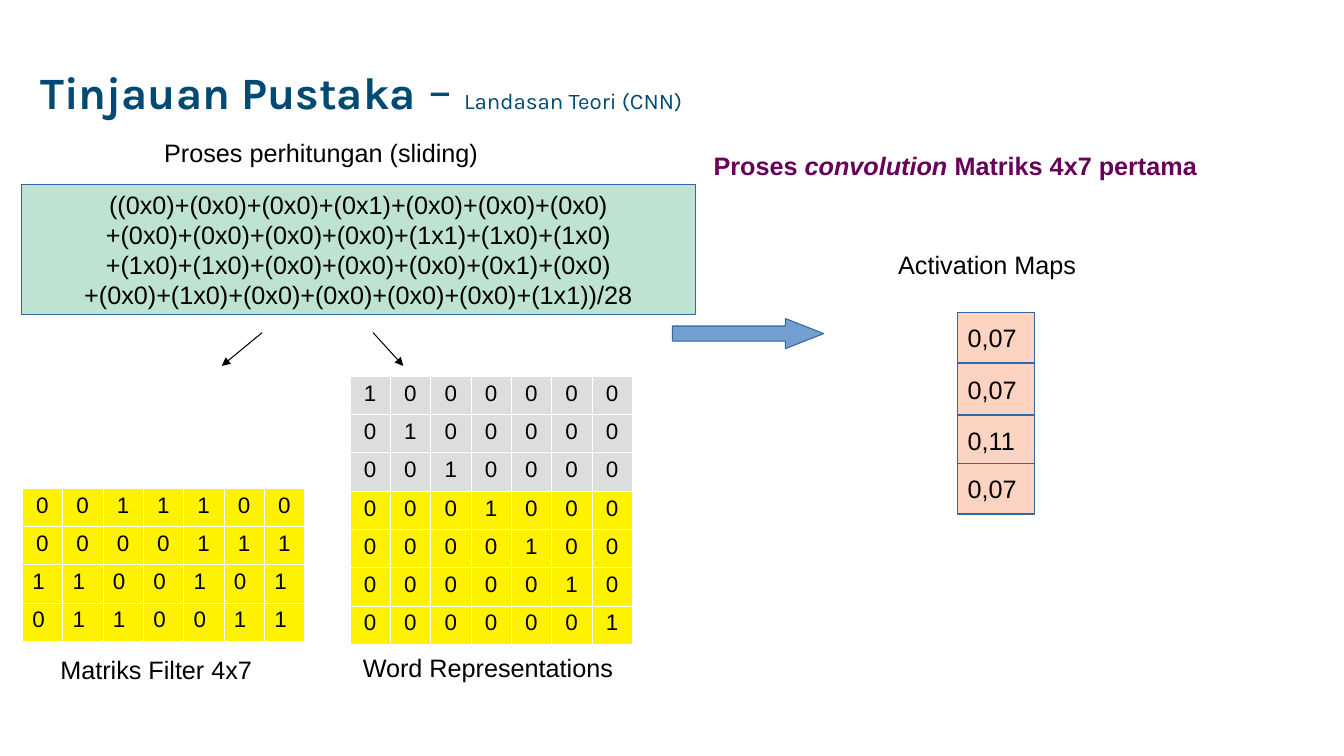
import pptx
import pptx.util
import pptx.dml.color
import pptx.enum.shapes
import pptx.enum.text
import pptx.oxml
import pptx.oxml.ns
from lxml import etree

Inches = pptx.util.Inches
Pt = pptx.util.Pt
ALIGN = pptx.enum.text.PP_ALIGN
SHAPE = pptx.enum.shapes.MSO_SHAPE

COLORS = {
    "title": "014A73", "heading": "680059", "text": "000000",
    "outline": "3465A4", "formula": "BEE3D3", "activation": "FCD3C1",
    "arrow": "729FCF", "window": "FFF200", "outside": "DDDDDD",
    "border": "FFFFFF",
}
FORMULA = [
    "((0x0)+(0x0)+(0x0)+(0x1)+(0x0)+(0x0)+(0x0)",
    "+(0x0)+(0x0)+(0x0)+(0x0)+(1x1)+(1x0)+(1x0)",
    "+(1x0)+(1x0)+(0x0)+(0x0)+(0x0)+(0x1)+(0x0)",
    "+(0x0)+(1x0)+(0x0)+(0x0)+(0x0)+(0x0)+(1x1))/28",
]
FILTER_ROWS = ["0011100", "0000111", "1100101", "0110011"]
WORD_ROWS = ["".join("1" if column == row else "0" for column in range(7))
             for row in range(7)]


def rgb(name):
    """Return the named palette colour."""
    return pptx.dml.color.RGBColor.from_string(COLORS[name])


def style(font, size, color="text", family="Arial", bold=None):
    """Set the face, size, colour and weight of a font."""
    font.name, font.size, font.bold = family, Pt(size), bold
    font.color.rgb = rgb(color)


def add_title(page, left, top, width, height):
    """Fill the title placeholder with its three sizes of text."""
    title = page.shapes.title
    title.left, title.top = Inches(left), Inches(top)
    title.width, title.height = Inches(width), Inches(height)
    frame = title.text_frame
    frame.word_wrap = True
    frame.auto_size = pptx.enum.text.MSO_AUTO_SIZE.NONE
    frame.vertical_anchor = pptx.enum.text.MSO_ANCHOR.MIDDLE
    para = frame.paragraphs[0]
    para.alignment, para.line_spacing = ALIGN.LEFT, 0.9
    for text, size, bold in [("Tinjauan Pustaka", 32, True), (" – ", 36, False),
                             ("Landasan Teori (CNN)", 16, False)]:
        span = para.add_run()
        span.text = text
        style(span.font, size, "title", "Karla", bold)


def add_label(page, text, left, top, width, height=0.38):
    """Add a plain caption."""
    box = page.shapes.add_textbox(Inches(left), Inches(top), Inches(width), Inches(height))
    box.text_frame.word_wrap = True
    para = box.text_frame.paragraphs[0]
    para.text = text
    style(para.font, 18)


def add_heading(page, left, top, width, height):
    """Add the bold heading with one italic word."""
    box = page.shapes.add_textbox(Inches(left), Inches(top), Inches(width), Inches(height))
    box.text_frame.word_wrap = True
    para = box.text_frame.paragraphs[0]
    style(para.font, 18, "heading", bold=True)
    for text, italic in [("Proses ", False), ("convolution", True),
                         (" Matriks 4x7 pertama", False)]:
        span = para.add_run()
        span.text = text
        style(span.font, 18, "heading", bold=True)
        span.font.italic = italic


def add_panel(page, kind, fill, left, top, width, height, lines=(), align=ALIGN.LEFT):
    """Add an outlined shape holding the given lines of text."""
    panel = page.shapes.add_shape(kind, Inches(left), Inches(top), Inches(width), Inches(height))
    panel.shadow.inherit = False
    panel.fill.solid()
    panel.fill.fore_color.rgb = rgb(fill)
    panel.line.color.rgb = rgb("outline")
    panel.line.width = Pt(0.75)
    frame = panel.text_frame
    frame.word_wrap = False
    frame.vertical_anchor = pptx.enum.text.MSO_ANCHOR.MIDDLE
    for index, line in enumerate(lines):
        para = frame.add_paragraph() if index else frame.paragraphs[0]
        para.text, para.alignment = line, align
        style(para.font, 18)
    return panel


def add_flow_arrow(page, left, top, width, height):
    """Add the block arrow leading to the activation maps."""
    arrow = add_panel(page, SHAPE.RIGHT_ARROW, "arrow", left, top, width, height)
    arrow.adjustments[0] = 0.5
    arrow.adjustments[1] = 1.27


def add_pointer(page, start, end):
    """Add a thin line with an arrowhead at its end."""
    pointer = page.shapes.add_connector(
        pptx.enum.shapes.MSO_CONNECTOR.STRAIGHT, *map(Inches, start + end))
    pointer.line.color.rgb = rgb("text")
    pointer.line.width = Pt(0.75)
    line = pointer.line._get_or_add_ln()
    etree.SubElement(line, pptx.oxml.ns.qn("a:tailEnd"), type="triangle")
    etree.SubElement(pointer._element.spPr, pptx.oxml.ns.qn("a:effectLst"))


def add_borders(cell):
    """Draw hairline borders around a table cell."""
    properties = cell._tc.get_or_add_tcPr()
    for side in "LRTB":
        properties.append(pptx.oxml.parse_xml(
            f'<a:ln{side} {pptx.oxml.ns.nsdecls("a")} w="720"><a:solidFill>'
            f'<a:srgbClr val="{COLORS["border"]}"/></a:solidFill></a:ln{side}>'))


def add_matrix(page, rows, left, top, grey_rows=0, centred_rows=7):
    """Add a grid of digits, with its first rows grey and the rest yellow."""
    column_width, row_height = 0.4, 0.38
    table = page.shapes.add_table(
        len(rows), 7, Inches(left), Inches(top),
        Inches(7 * column_width), Inches(len(rows) * row_height)).table
    table.first_row = table.horz_banding = False
    for row, digits in enumerate(rows):
        for column, digit in enumerate(digits):
            cell = table.cell(row, column)
            add_borders(cell)
            cell.fill.solid()
            cell.fill.fore_color.rgb = rgb("outside" if row < grey_rows else "window")
            para = cell.text_frame.paragraphs[0]
            para.text = digit
            para.alignment = ALIGN.CENTER if row < centred_rows else ALIGN.LEFT
            style(para.font, 16)


def add_activation_maps(page, left, top):
    """Stack the activation values under their caption."""
    add_label(page, "Activation Maps", left - 0.69, top - 0.68, 2.19)
    for offset, value in [(0, "0,07"), (0.51, "0,07"), (1.02, "0,11"), (1.5, "0,07")]:
        add_panel(page, SHAPE.RECTANGLE, "activation", left, top + offset, 0.76, 0.5, [value])


def add_calculation(page, left, top):
    """Add the sliding formula with pointers to its two matrices."""
    add_label(page, "Proses perhitungan (sliding)", left + 1.32, top - 0.52, 3.91)
    add_panel(page, SHAPE.RECTANGLE, "formula", left, top, 6.69, 1.29, FORMULA, ALIGN.CENTER)
    for start, end in [(2.39, 1.99), (3.49, 3.79)]:
        add_pointer(page, (left + start, top + 1.47), (left + end, top + 1.8))


def build_slide(deck):
    """Lay out the convolution slide."""
    page = deck.slides.add_slide(deck.slide_layouts[5])
    add_title(page, 0.3, 0.2, 7.5, 1.45)
    add_calculation(page, 0.21, 1.83)
    add_matrix(page, WORD_ROWS, 3.47, 3.73, grey_rows=3)
    add_label(page, "Word Representations", 3.5, 6.42, 3)
    add_matrix(page, FILTER_ROWS, 0.22, 4.84, centred_rows=2)
    add_label(page, "Matriks Filter 4x7", 0.5, 6.44, 2.62)
    add_heading(page, 6.98, 1.44, 5.2, 0.66)
    add_flow_arrow(page, 6.67, 3.16, 1.5, 0.3)
    add_activation_maps(page, 9.5, 3.1)


def main():
    """Build and save the deck."""
    deck = pptx.Presentation()
    deck.slide_width, deck.slide_height = Inches(13.33), Inches(7.5)
    build_slide(deck)
    deck.save("out.pptx")


if __name__ == "__main__":
    main()
